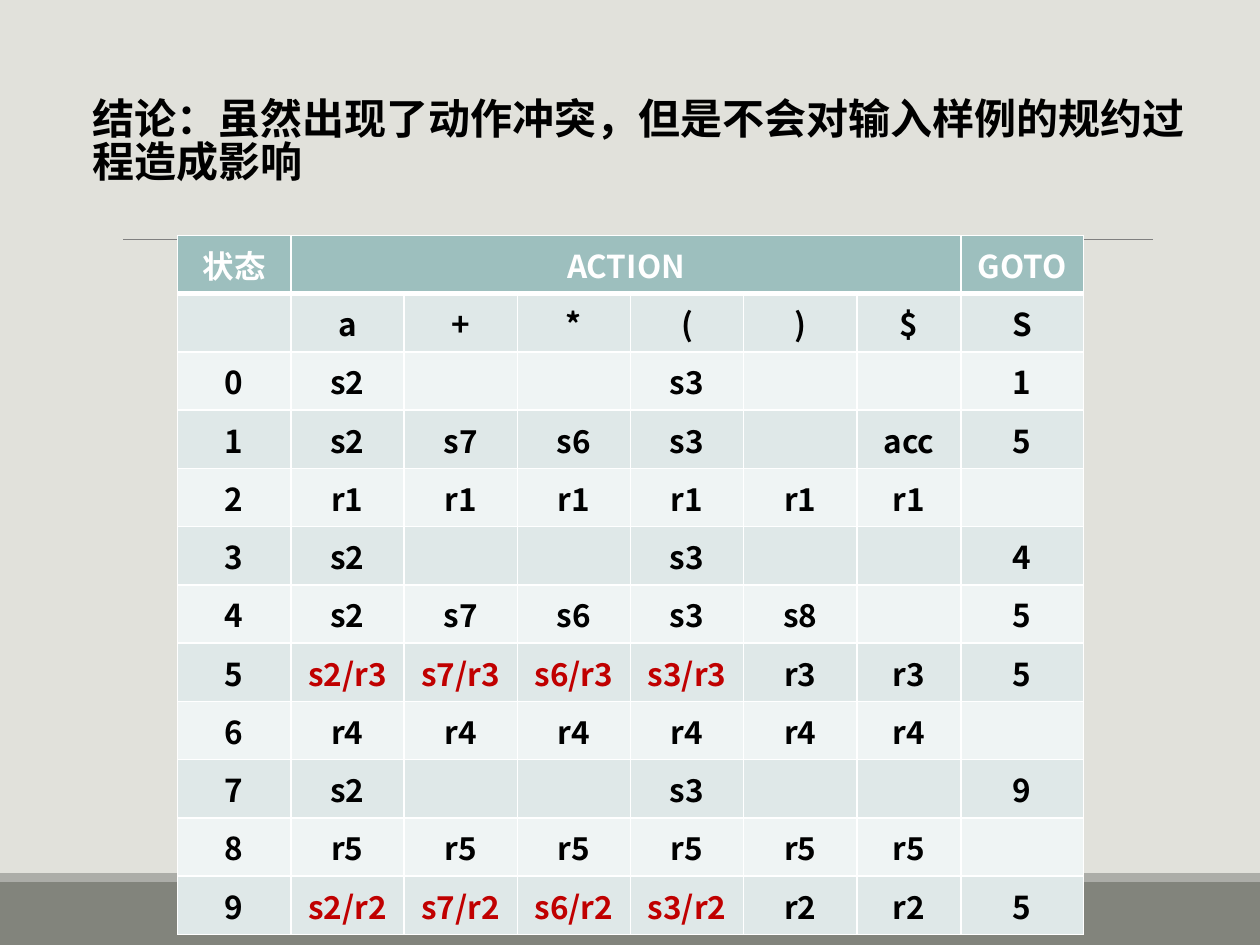
from lxml.etree import SubElement
from pptx import Presentation
from pptx.dml.color import RGBColor
from pptx.enum.shapes import MSO_CONNECTOR as CONN, MSO_SHAPE as SHAPE
from pptx.enum.text import PP_ALIGN as ALIGN
from pptx.oxml.ns import qn
from pptx.util import Pt

FONT = "Noto Sans CJK SC"
TITLE = "结论：虽然出现了动作冲突，但是不会对输入样例的规约过程造成影响"
ROWS = [
    ["状态", "ACTION", "", "", "", "", "", "GOTO"],
    ["", "a", "+", "*", "(", ")", "$", "S"],
    ["0", "s2", "", "", "s3", "", "", "1"],
    ["1", "s2", "s7", "s6", "s3", "", "acc", "5"],
    ["2"] + ["r1"] * 6 + [""],
    ["3", "s2", "", "", "s3", "", "", "4"],
    ["4", "s2", "s7", "s6", "s3", "s8", "", "5"],
    ["5", "s2/r3", "s7/r3", "s6/r3", "s3/r3", "r3", "r3", "5"],
    ["6"] + ["r4"] * 6 + [""],
    ["7", "s2", "", "", "s3", "", "", "9"],
    ["8"] + ["r5"] * 6 + [""],
    ["9", "s2/r2", "s7/r2", "s6/r2", "s3/r2", "r2", "r2", "5"],
]
COL_WIDTHS = [64.7] * 6 + [59.6, 69.8]
ROW_HEIGHT = 28.08
BANDS = [(504, 36, "82847C"), (499, 5, "ACADA8")]


def color(value):
    return RGBColor.from_string(value)


def write(p, text, size, ink):
    r = p.add_run()
    r.text = text
    for name, value in {"name": FONT, "size": Pt(size), "bold": True}.items():
        setattr(r.font, name, value)
    r.font.color.rgb = color(ink)
    SubElement(r.font._element, qn("a:ea"), typeface=FONT)


def paint(obj, value):
    obj.fill.solid()
    obj.fill.fore_color.rgb = color(value)


def add_borders(cell, bottom):
    tcPr = cell._tc.get_or_add_tcPr()
    for i, (side, width) in enumerate([("L", 1), ("R", 1), ("T", 1), ("B", bottom)]):
        ln = SubElement(tcPr, qn(f"a:ln{side}"), w=str(Pt(width)))
        SubElement(SubElement(ln, qn("a:solidFill")), qn("a:srgbClr"), val="FFFFFF")
        tcPr.insert(i, ln)


def add_backdrop(s):
    paint(s.background, "E1E1DB")
    for top, height, fill in BANDS:
        sp = s.shapes.add_shape(SHAPE.RECTANGLE, 0, Pt(top), Pt(720), Pt(height))
        sp.shadow.inherit = False
        sp.line.fill.background()
        paint(sp, fill)
    rule = s.shapes.add_connector(CONN.STRAIGHT, Pt(70.4), Pt(136.8), Pt(659), Pt(136.8))
    rule.line.color.rgb = color("808080")
    rule.line.width = Pt(0.5)
    SubElement(rule._element.spPr, qn("a:effectLst"))


def add_parse_table(s):
    frame = s.shapes.add_table(len(ROWS), len(COL_WIDTHS), Pt(101.5), Pt(134.6),
                               Pt(sum(COL_WIDTHS)), Pt(ROW_HEIGHT * len(ROWS)))
    table = frame.table
    for col, width in zip(table.columns, COL_WIDTHS):
        col.width = Pt(width)
    for i, row in enumerate(ROWS):
        table.rows[i].height = Pt(ROW_HEIGHT)
        fill = "9DBFBE" if i == 0 else "DFE8E8" if i % 2 else "EFF4F4"
        for j, text in enumerate(row):
            cell = table.cell(i, j)
            paint(cell, fill)
            add_borders(cell, 1 if i else 3)
            p = cell.text_frame.paragraphs[0]
            p.alignment = ALIGN.CENTER
            if text:
                ink = "FFFFFF" if i == 0 else "C00000" if "/" in text else "000000"
                write(p, text, 18, ink)
    table.cell(0, 1).merge(table.cell(0, 6))


def add_title(s):
    tf = s.shapes.add_textbox(Pt(46), Pt(54), Pt(656.6), Pt(65.5)).text_frame
    tf.word_wrap = True
    p = tf.paragraphs[0]
    p.line_spacing = 0.85
    write(p, TITLE, 24, "000000")


def main():
    prs = Presentation()
    prs.slide_width, prs.slide_height = Pt(720), Pt(540)
    s = prs.slides.add_slide(prs.slide_layouts[6])
    add_backdrop(s)
    add_parse_table(s)
    add_title(s)
    prs.save("out.pptx")


if __name__ == "__main__":
    main()
